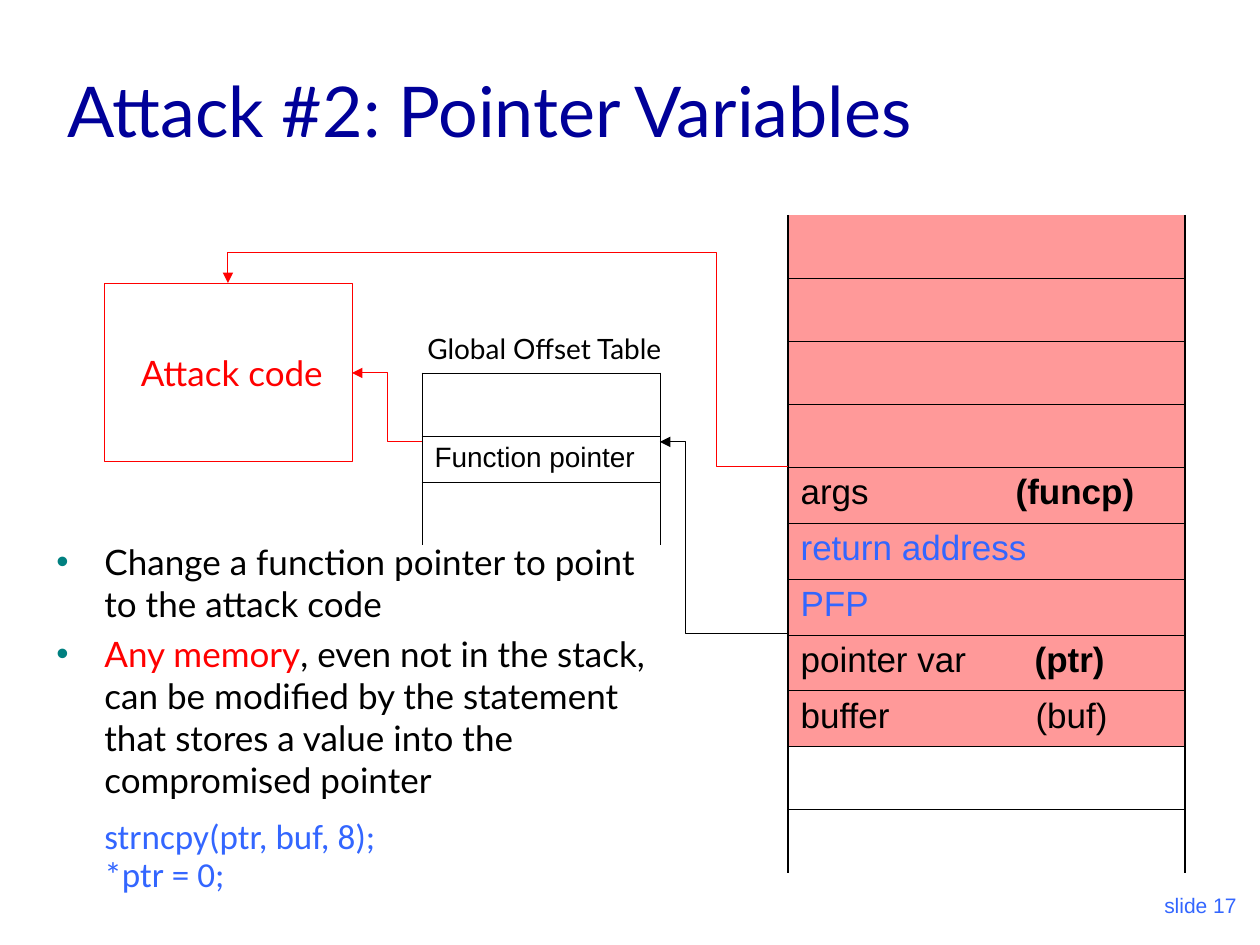
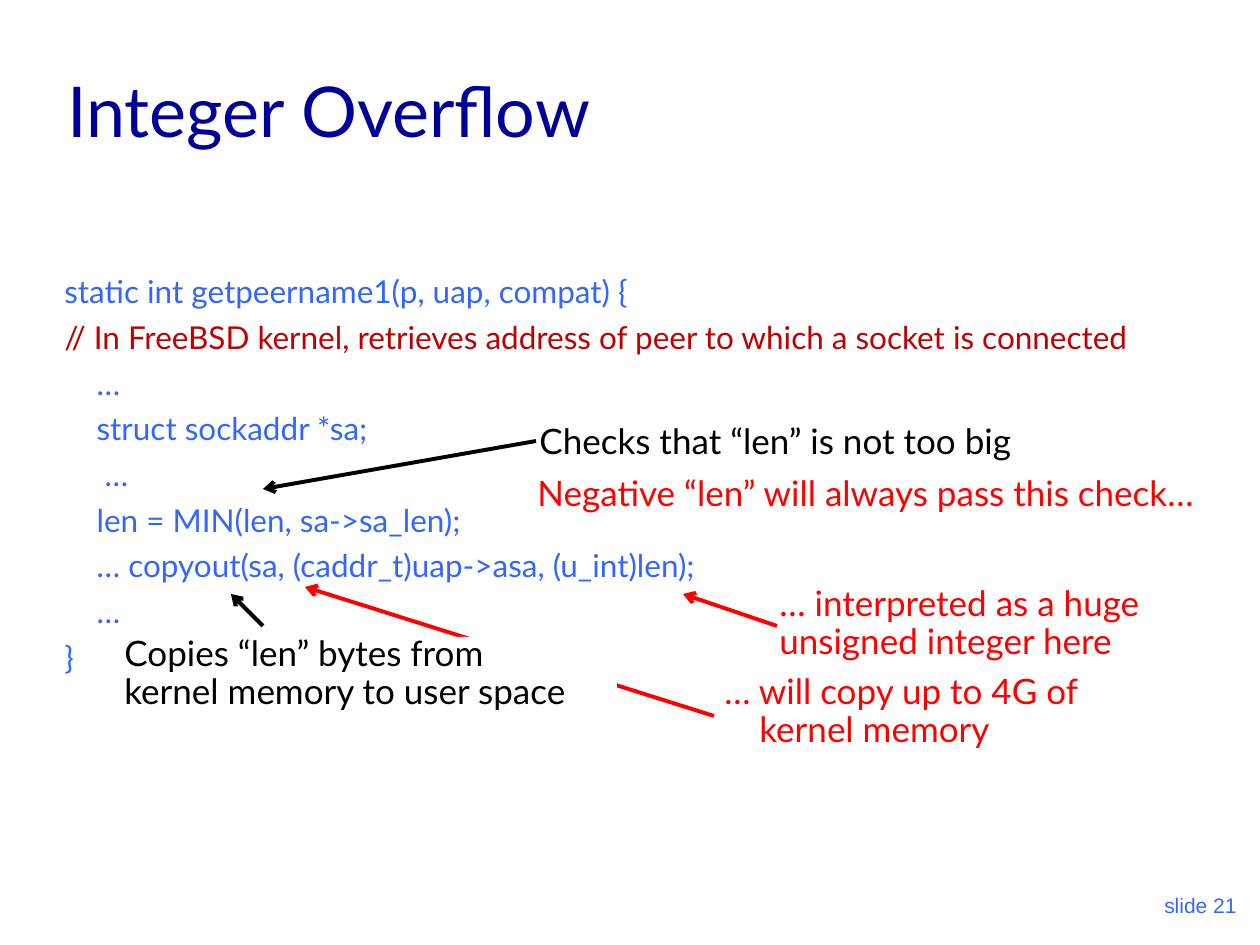
from dataclasses import dataclass

from lxml import etree
from pptx import Presentation
from pptx import util as u
from pptx.dml.color import RGBColor
from pptx.enum import shapes, text
from pptx.oxml.ns import qn


@dataclass(frozen=True)
class Theme:
    navy: str = "000099"
    blue: str = "3366FF"
    red: str = "FF0000"
    crimson: str = "C00000"
    teal: str = "008080"
    pink: str = "FF9999"
    white: str = "FFFFFF"
    black: str = "000000"
    body_font: str = "Lato"
    stack_font: str = "Arial"
    code_font: str = "Calibri"
    title_size: float = 40
    body_size: float = 20
    code_size: float = 18
    label_size: float = 16
    footer_size: float = 12
    tight: float = 0.7
    thin: float = 0.5
    grid: float = 0.45
    edge: float = 1.08
    thick: float = 2.25


THEME = Theme()
PX_PER_INCH = 126
TITLE_BOX = (55, 32, 1071, 126)
FOOTER_BOX = (987, 861, 262, 63)


def px(length):
    return u.Emu(round(length * 914400 / PX_PER_INCH))


def rgb(color):
    return RGBColor.from_string(color)


def sub(parent, tag, **attributes):
    return etree.SubElement(parent, qn(tag), attributes)


def write(paragraph, runs, size=THEME.body_size, font=THEME.body_font,
          color=THEME.black, before=0, spacing=None, left=0, hang=0,
          bullet=False, tab=None):
    if isinstance(runs, str):
        runs = [(runs, {})]
    properties = paragraph._p.get_or_add_pPr()
    if left or hang:
        properties.set("marL", str(px(left)))
        properties.set("indent", str(px(-hang)))
    if bullet:
        sub(sub(properties, "a:buClr"), "a:srgbClr", val=THEME.teal)
        sub(properties, "a:buFont", typeface=THEME.stack_font)
        sub(properties, "a:buChar", char="•")
    if tab:
        sub(sub(properties, "a:tabLst"), "a:tab", pos=str(px(tab)), algn="l")
    if before:
        paragraph.space_before = u.Pt(before)
    if spacing:
        paragraph.line_spacing = spacing
    paragraph.font.size = u.Pt(size)
    paragraph.font.name = font
    paragraph.font.color.rgb = rgb(color)
    for wording, style in runs:
        run = paragraph.add_run()
        run.text = wording
        if "color" in style:
            run.font.color.rgb = rgb(style["color"])
        if "bold" in style:
            run.font.bold = style["bold"]


def write_all(frame, lines, before=0, **shared):
    for index, (runs, style) in enumerate(lines):
        paragraph = frame.paragraphs[0] if index == 0 else frame.add_paragraph()
        write(paragraph, runs, **{"before": before if index else 0, **shared, **style})


def add_text(slide, box, lines, anchor=text.MSO_ANCHOR.TOP, fill=None, **shared):
    area = slide.shapes.add_textbox(*map(px, box))
    if fill:
        area.fill.solid()
        area.fill.fore_color.rgb = rgb(fill)
    frame = area.text_frame
    frame.word_wrap = True
    frame.vertical_anchor = anchor
    write_all(frame, lines, **shared)
    return frame


def add_arrow(slide, start, end, color, width, head, via=None):
    kind = shapes.MSO_CONNECTOR.ELBOW if via else shapes.MSO_CONNECTOR.STRAIGHT
    arrow = slide.shapes.add_connector(kind, *map(px, start + end))
    arrow.line.color.rgb = rgb(color)
    arrow.line.width = u.Pt(width)
    sub(arrow.line._get_or_add_ln(), "a:tailEnd", type=head)
    properties = arrow._element.spPr
    sub(properties, "a:effectLst")
    if via:
        geometry = properties.find(qn("a:prstGeom"))
        geometry.set("prst", f"bentConnector{len(via) + 2}")
        guides = geometry.find(qn("a:avLst"))
        if guides is None:
            guides = sub(geometry, "a:avLst")
        for axis, bend in enumerate(via):
            share = (bend - start[axis]) / (end[axis] - start[axis])
            sub(guides, "a:gd", name=f"adj{axis + 1}", fmla=f"val {round(share * 100000)}")


def add_border(cell, side, width):
    line = sub(cell._tc.get_or_add_tcPr(), f"a:ln{side}", w=str(u.Pt(width)))
    if width:
        sub(sub(line, "a:solidFill"), "a:srgbClr", val=THEME.black)
    else:
        sub(line, "a:noFill")


def add_memory(slide, box, rows, edge, top, size):
    left, upper, width, height = box
    frame = slide.shapes.add_table(len(rows), 1, *map(px, box))
    table = frame.table
    table.first_row = table.horz_banding = False
    last = len(rows) - 1
    for index, (row_height, fill, runs, style) in enumerate(rows):
        table.rows[index].height = px(row_height)
        cell = table.cell(index, 0)
        add_border(cell, "L", edge)
        add_border(cell, "R", edge)
        add_border(cell, "T", THEME.grid if index else top)
        add_border(cell, "B", THEME.grid if index < last else 0)
        cell.fill.solid()
        cell.fill.fore_color.rgb = rgb(fill)
        write(cell.text_frame.paragraphs[0], runs,
              **{"size": size, "font": THEME.stack_font, **style})


def add_stack(slide, box):
    bold = {"bold": True}
    empty, filled = 63, 56
    entries = [
        ([("args\t", {}), ("(funcp)", bold)], {"tab": 215}),
        ("return address", {"color": THEME.blue}),
        ("PFP", {"color": THEME.blue}),
        ([("pointer var\t", {}), ("(ptr)", bold)], {"tab": 234}),
        ("buffer\t(buf)", {"tab": 235}),
    ]
    rows = [(empty, THEME.pink, [], {})] * 4
    rows += [(filled, THEME.pink, runs, style) for runs, style in entries]
    rows += [(empty, THEME.white, [], {})] * 2
    add_memory(slide, box, rows, THEME.edge, 0, THEME.body_size)


def add_offset_table(slide, box):
    left, top, width, height = box
    rows = [
        (63, THEME.white, [], {}),
        (46, THEME.white, "Function pointer", {}),
        (63, THEME.white, [], {}),
    ]
    add_memory(slide, box, rows, THEME.grid, THEME.grid, THEME.label_size)
    add_text(slide, (left - 7, top - 48, width + 27, 46),
             [("Global Offset Table", {})], size=THEME.label_size)


def add_attack_code(slide, box):
    block = slide.shapes.add_shape(shapes.MSO_SHAPE.RECTANGLE, *map(px, box))
    block.shadow.inherit = False
    block.fill.solid()
    block.fill.fore_color.rgb = rgb(THEME.white)
    block.line.color.rgb = rgb(THEME.red)
    block.line.width = u.Pt(THEME.thin)
    frame = block.text_frame
    frame.margin_left = px(20)
    frame.vertical_anchor = text.MSO_ANCHOR.MIDDLE
    write(frame.paragraphs[0], "Attack code", color=THEME.red)
    frame.paragraphs[0].alignment = text.PP_ALIGN.CENTER


def add_explanation(slide, box):
    point = {"left": 48, "hang": 48, "bullet": True}
    code = {"left": 48, "font": THEME.code_font, "color": THEME.blue,
            "spacing": THEME.tight}
    add_text(slide, box, [
        ("Change a function pointer to point to the attack code", point),
        ([("Any memory", {"color": THEME.red}),
          (", even not in the stack, can be modified by the statement that "
           "stores a value into the compromised pointer", {})], point),
        ("strncpy(ptr, buf, 8);", {**code, "before": 14}),
        ("*ptr = 0;", code),
    ], before=5)


def add_title_and_footer(slide, title, number):
    add_text(slide, TITLE_BOX, [(title, {})], anchor=text.MSO_ANCHOR.BOTTOM,
             size=THEME.title_size, color=THEME.navy)
    footer = add_text(slide, FOOTER_BOX, [(f"slide {number}", {})],
                      anchor=text.MSO_ANCHOR.BOTTOM, size=THEME.footer_size,
                      font=THEME.stack_font, color=THEME.blue)
    footer.paragraphs[0].alignment = text.PP_ALIGN.RIGHT


def build_pointer_slide(slide):
    stack = (788, 215, 397, 658)
    attack = (104, 283, 248, 179)
    offsets = (422, 373, 238, 172)
    pointer_y = 442
    attack_right = attack[0] + attack[2]
    attack_middle = attack[0] + attack[2] // 2
    offsets_right = offsets[0] + offsets[2]
    add_title_and_footer(slide, "Attack #2: Pointer Variables", 17)
    add_stack(slide, stack)
    add_attack_code(slide, attack)
    add_explanation(slide, (44, 534, 635, 363))
    add_offset_table(slide, offsets)
    for start, end, color, via in [
        ((stack[0], 466), (attack_middle, attack[1]), THEME.red, (717, 252)),
        ((stack[0], 634), (offsets_right, pointer_y), THEME.black, (686,)),
        ((offsets[0], pointer_y), (attack_right, 373), THEME.red, (387,)),
    ]:
        add_arrow(slide, start, end, color, THEME.thin, "triangle", via)


def add_listing(slide, box):
    lines = [
        "static int getpeername1(p, uap, compat) {",
        "// In FreeBSD kernel, retrieves address of peer to which a socket is connected",
        "    …",
        "    struct sockaddr *sa;",
        "     …",
        "    len = MIN(len, sa->sa_len);",
        "    … copyout(sa, (caddr_t)uap->asa, (u_int)len);",
        "    …",
        "}",
    ]
    add_text(slide, box, [
        (line, {"color": THEME.crimson if line.startswith("//") else THEME.blue})
        for line in lines
    ], size=THEME.code_size, before=4.5)


def add_note(slide, box, lines, color=THEME.black, fill=None, second_indent=0):
    spacing = THEME.tight if len(lines) > 1 else None
    styled = [(line, {"left": second_indent if index else 0})
              for index, line in enumerate(lines)]
    add_text(slide, box, styled, color=color, fill=fill, spacing=spacing, before=5)


def build_overflow_slide(slide):
    add_title_and_footer(slide, "Integer Overflow", 21)
    add_arrow(slide, (714, 716), (305, 587), THEME.red, THEME.thick, "arrow")
    add_listing(slide, (52, 266, 1166, 416))
    add_note(slide, (527, 413, 527, 55), ["Checks that “len” is not too big"])
    add_note(slide, (525, 465, 725, 55),
             ["Negative “len” will always pass this check…"], THEME.red)
    add_note(slide, (112, 637, 505, 81),
             ["Copies “len” bytes from", "kernel memory to user space"],
             fill=THEME.white)
    add_note(slide, (767, 587, 417, 81),
             ["… interpreted as a huge", "unsigned integer here"], THEME.red)
    add_note(slide, (712, 675, 404, 81),
             ["… will copy up to 4G of", "kernel memory"], THEME.red,
             second_indent=35)
    for start, end, color in [
        ((536, 441), (263, 489), THEME.black),
        ((263, 626), (231, 594), THEME.black),
        ((777, 626), (683, 594), THEME.red),
    ]:
        add_arrow(slide, start, end, color, THEME.thick, "arrow")


def main():
    deck = Presentation()
    deck.slide_width, deck.slide_height = px(1260), px(945)
    for build in (build_pointer_slide, build_overflow_slide):
        build(deck.slides.add_slide(deck.slide_layouts[6]))
    deck.save("out.pptx")


if __name__ == "__main__":
    main()
